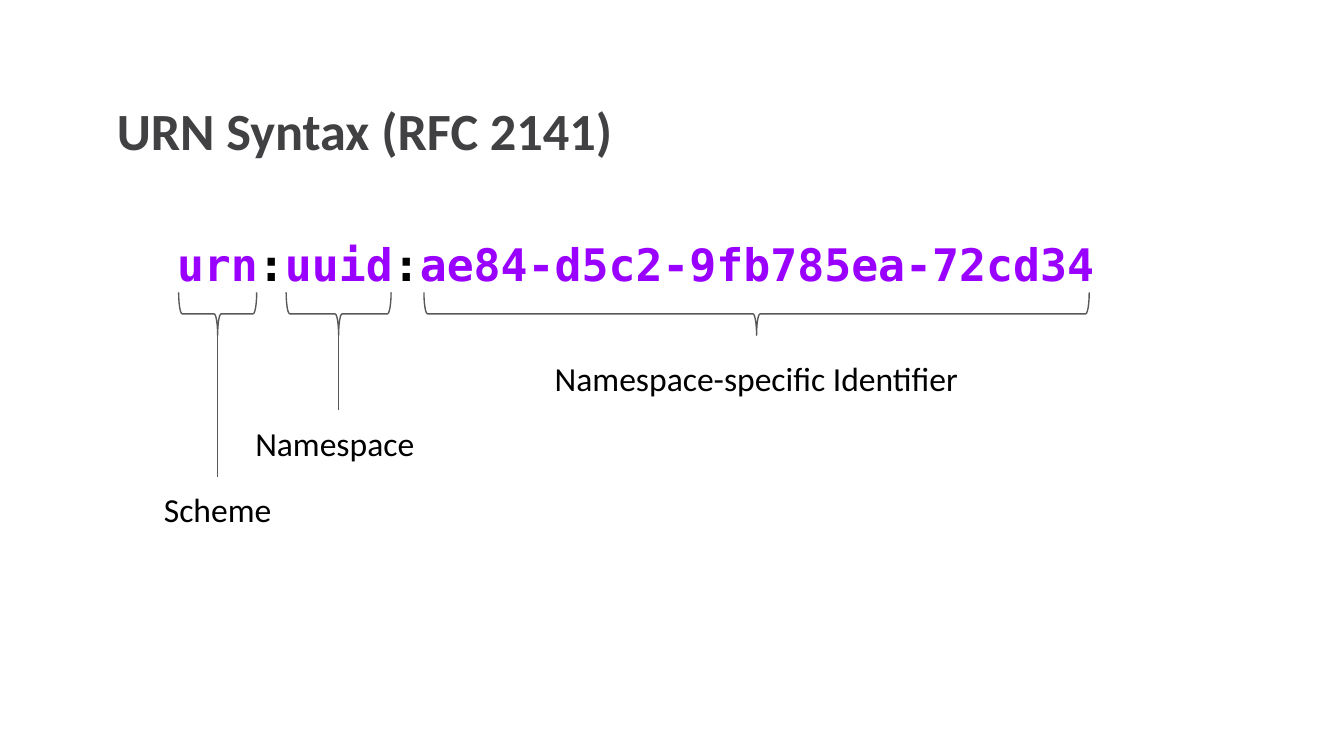
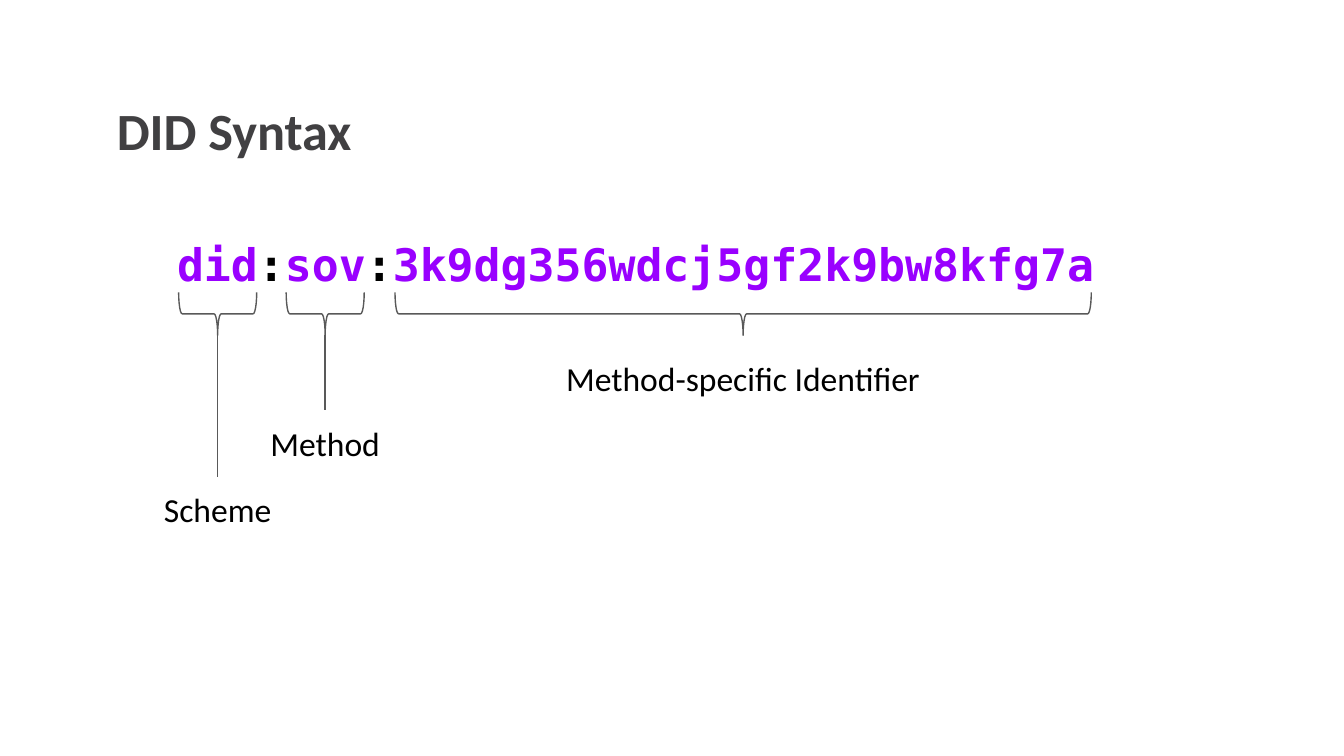
import collections

import pptx
import pptx.dml.color
import pptx.enum.shapes
import pptx.enum.text
import pptx.oxml.ns
import pptx.util
from lxml import etree

Pt = pptx.util.Pt
RGBColor = pptx.dml.color.RGBColor
ALIGN = pptx.enum.text.PP_ALIGN
ANCHOR = pptx.enum.text.MSO_ANCHOR

TITLE_GREY = RGBColor(0x41, 0x40, 0x42)
PURPLE = RGBColor(0x99, 0x00, 0xFF)
BLACK = RGBColor(0, 0, 0)
LINE_GREY = RGBColor(0x59, 0x59, 0x59)
BODY_FONT = "Calibri"
CODE_FONT = "DejaVu Sans Mono"

Box = collections.namedtuple("Box", "left top width height")
Part = collections.namedtuple("Part", "code label center span")
Level = collections.namedtuple("Level", "top width has_leader")

TITLE_BOX = Box(55.4, 45.4, 594, 47.5)
SYNTAX_BOX = Box(87.8, 119.5, 535, 56.2)
INSET = 7.2
LABEL_HEIGHT = 34.6
BRACE_MIDDLE = 48.6
BRACE_DEPTH = 23
LEVELS = (
    Level(136.1, 83.5, True),
    Level(100.4, 108.7, True),
    Level(65.5, 254.9, False),
)
SYNTAXES = (
    ("URN Syntax (RFC 2141)", (
        Part("urn", "Scheme", 28.8, 41.8),
        Part("uuid", "Namespace ", 93.6, 56.2),
        Part("ae84-d5c2-9fb785ea-72cd34", "Namespace-specific Identifier", 317.5, 356.4),
    )),
    ("DID Syntax", (
        Part("did", "Scheme", 28.8, 41.8),
        Part("sov", "Method", 86.4, 41.8),
        Part("3k9dg356wdcj5gf2k9bw8kfg7a", "Method-specific Identifier", 310.3, 373),
    )),
)


def prepare_frame(frame, anchor, align):
    """Set insets, wrapping and alignment, and return the first paragraph."""
    frame.word_wrap = True
    frame.auto_size = pptx.enum.text.MSO_AUTO_SIZE.NONE
    frame.vertical_anchor = anchor
    frame.margin_left = frame.margin_right = Pt(INSET)
    frame.margin_top = frame.margin_bottom = Pt(INSET)
    paragraph = frame.paragraphs[0]
    paragraph.alignment = align
    return paragraph


def add_run(paragraph, text, font, size, color, bold=False):
    """Append one formatted run."""
    run = paragraph.add_run()
    run.text = text
    run.font.name = font
    run.font.size = Pt(size)
    run.font.color.rgb = color
    run.font.bold = bold


def add_text_box(slide, box, anchor, align):
    """Add a text box and return its first paragraph."""
    text_box = slide.shapes.add_textbox(*map(Pt, box))
    return prepare_frame(text_box.text_frame, anchor, align)


def style_line(line):
    """Apply the thin grey outline."""
    line.color.rgb = LINE_GREY
    line.width = Pt(0.75)


def place_title(slide, box, text):
    """Move the title placeholder into its box and fill it."""
    title = slide.shapes.title
    title.left, title.top, title.width, title.height = map(Pt, box)
    paragraph = prepare_frame(title.text_frame, ANCHOR.TOP, ALIGN.LEFT)
    add_run(paragraph, text, BODY_FONT, 28, TITLE_GREY, True)


def add_code(slide, box, parts):
    """Write the identifier with black colons between its parts."""
    paragraph = add_text_box(slide, box, ANCHOR.TOP, ALIGN.LEFT)
    for index, part in enumerate(parts):
        if index:
            add_run(paragraph, ":", CODE_FONT, 24, BLACK, True)
        add_run(paragraph, part.code, CODE_FONT, 24, PURPLE, True)


def add_brace(slide, center, middle, span):
    """Add a brace that opens upwards around a centre point."""
    brace = slide.shapes.add_shape(
        pptx.enum.shapes.MSO_SHAPE.LEFT_BRACE,
        Pt(center - BRACE_DEPTH / 2), Pt(middle - span / 2),
        Pt(BRACE_DEPTH), Pt(span),
    )
    brace.rotation = 270
    brace.adjustments[0] = 0.083
    brace.adjustments[1] = 0.5
    brace.shadow.inherit = False
    brace.fill.background()
    style_line(brace.line)


def add_leader(slide, center, top, bottom):
    """Add a vertical line from a brace to its label."""
    leader = slide.shapes.add_connector(
        pptx.enum.shapes.MSO_CONNECTOR.STRAIGHT,
        Pt(center), Pt(top), Pt(center), Pt(bottom),
    )
    style_line(leader.line)
    etree.SubElement(leader._element.spPr, pptx.oxml.ns.qn("a:effectLst"))


def add_syntax(slide, box, parts):
    """Draw the identifier and annotate each part below it."""
    add_code(slide, box, parts)
    middle = box.top + BRACE_MIDDLE
    for part, level in zip(parts, LEVELS):
        center = box.left + part.center
        label_top = box.top + level.top
        label_box = Box(center - level.width / 2, label_top, level.width, LABEL_HEIGHT)
        label = add_text_box(slide, label_box, ANCHOR.MIDDLE, ALIGN.CENTER)
        add_run(label, part.label, BODY_FONT, 18, BLACK)
        add_brace(slide, center, middle, part.span)
        if level.has_leader:
            add_leader(slide, center, middle + BRACE_DEPTH / 2, label_top)


def main():
    """Build and save both syntax slides."""
    deck = pptx.Presentation()
    deck.slide_width, deck.slide_height = Pt(720), Pt(405)
    title_only = deck.slide_layouts[5]
    for title, parts in SYNTAXES:
        slide = deck.slides.add_slide(title_only)
        place_title(slide, TITLE_BOX, title)
        add_syntax(slide, SYNTAX_BOX, parts)
    deck.save("out.pptx")


if __name__ == "__main__":
    main()
